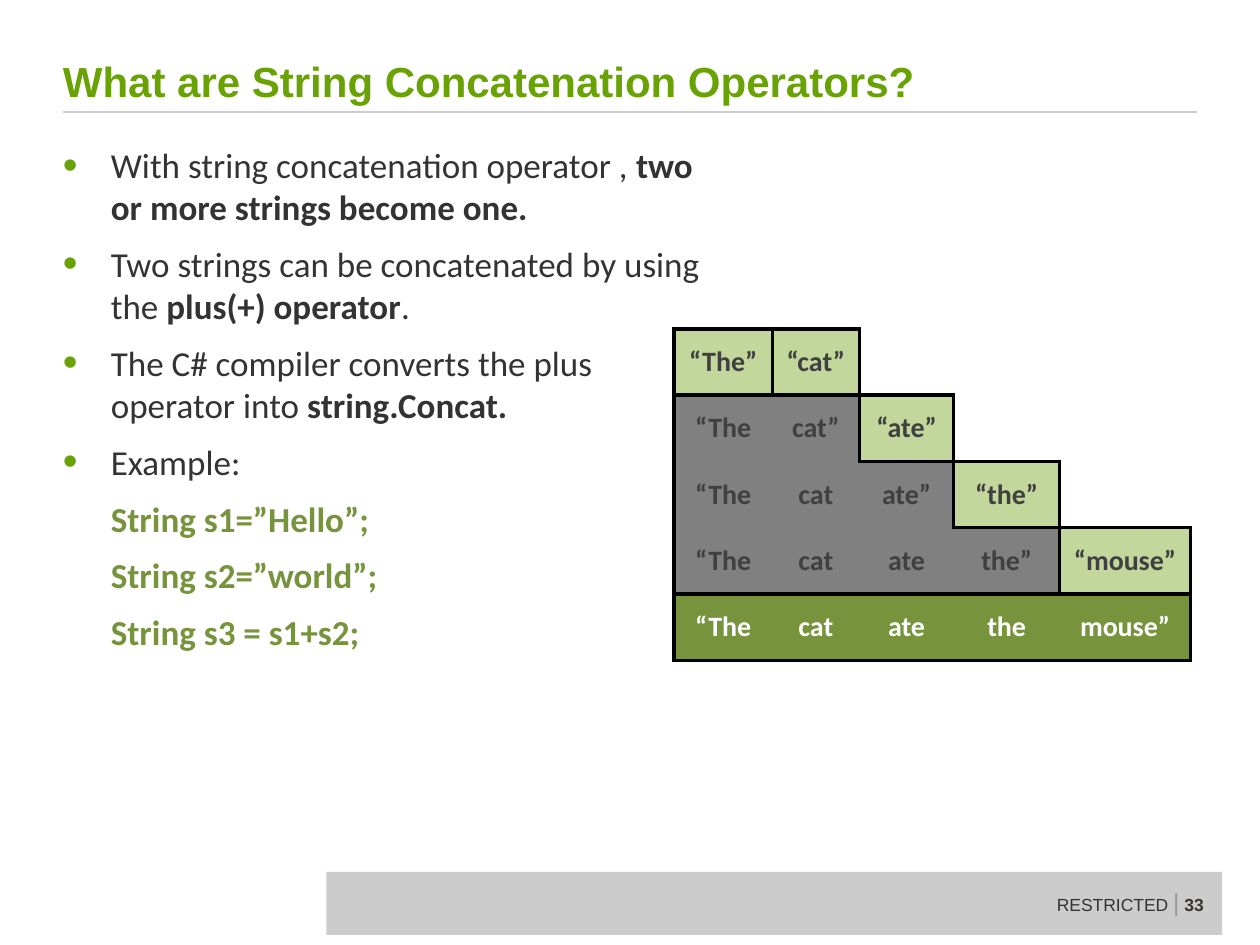
from dataclasses import dataclass

import pptx
import pptx.dml.color
import pptx.enum.shapes
import pptx.enum.text
import pptx.oxml
import pptx.oxml.ns
import pptx.util
from lxml import etree
from pptx.util import Inches

Anchor = pptx.enum.text.MSO_ANCHOR
Align = pptx.enum.text.PP_ALIGN


@dataclass(frozen=True)
class Theme:
    heading: str = "69A205"
    code: str = "77933C"
    body: str = "333333"
    rule: str = "CCCCCC"
    separator: str = "999999"
    number: str = "3A372F"
    word: str = "C3D69B"
    running: str = "808080"
    cell_text: str = "404040"
    white: str = "FFFFFF"
    border: str = "000000"
    title_font: str = "Arial"
    body_font: str = "Calibri"
    title_size: int = 24
    body_size: int = 20
    cell_size: int = 16
    separator_size: int = 14
    footer_size: int = 10


THEME = Theme()

TITLE = "What are String Concatenation Operators?"
# Each paragraph is a list of (text, bold) spans.
BULLETS = [
    [("With string concatenation operator , ", False),
     ("two or more strings become one.", True)],
    [("Two strings can be concatenated by using the ", False),
     ("plus(+) operator", True), (".", False)],
    [("The C# compiler converts the plus operator into ", False),
     ("string.Concat.", True)],
    [("Example:", False)],
]
CODE = ["String s1=”Hello”;", "String s2=”world”;", "String s3 = s1+s2;"]
WORDS = ["The", "cat", "ate", "the", "mouse"]
COLUMN_WIDTHS = [0.78, 0.69, 0.75, 0.84, 1.04]


def rgb(value):
    return pptx.dml.color.RGBColor.from_string(value)


def set_all(target, values):
    for name, value in values.items():
        setattr(target, name, value)


def add_span(para, text, font, size, color, bold=False):
    span = para.add_run()
    span.text = text
    set_all(span.font, {"name": font, "size": pptx.util.Pt(size), "bold": bold})
    span.font.color.rgb = rgb(color)


def add_text_box(page, box, wrap=True, **frame_values):
    frame = page.shapes.add_textbox(*map(Inches, box)).text_frame
    set_all(frame, {"word_wrap": wrap, **frame_values})
    return frame


def add_title(page, box):
    """Title sitting on a grey rule at the bottom of the box."""
    left, top, width, height = box
    rule = page.shapes.add_connector(
        pptx.enum.shapes.MSO_CONNECTOR.STRAIGHT, Inches(left), Inches(top + height),
        Inches(left + width), Inches(top + height))
    rule.line.color.rgb = rgb(THEME.rule)
    rule.line.width = pptx.util.Pt(1.5)
    etree.SubElement(rule._element.spPr, pptx.oxml.ns.qn("a:effectLst"))
    frame = add_text_box(page, box, vertical_anchor=Anchor.BOTTOM, margin_left=0,
                         margin_right=0, margin_top=0, margin_bottom=Inches(0.05))
    add_span(frame.paragraphs[0], TITLE, THEME.title_font, THEME.title_size,
             THEME.heading, True)


def indent(para, bulleted):
    properties = para._p.get_or_add_pPr()
    hang = Inches(0.38)
    properties.set("marL", str(hang))
    properties.set("indent", str(-hang if bulleted else 0))
    if bulleted:
        namespace = pptx.oxml.ns.nsdecls("a")
        for markup in (
                f'<a:buClr {namespace}><a:srgbClr val="{THEME.heading}"/></a:buClr>',
                f'<a:buSzPct {namespace} val="120000"/>',
                f'<a:buFont {namespace} typeface="Arial"/>',
                f'<a:buChar {namespace} char="•"/>'):
            properties.append(pptx.oxml.parse_xml(markup))


def add_body(page, box):
    frame = add_text_box(page, box, margin_left=0, margin_right=0,
                         margin_top=0, margin_bottom=0)
    items = [(spans, THEME.body, True) for spans in BULLETS]
    items += [([(line, True)], THEME.code, False) for line in CODE]
    for index, (spans, color, bulleted) in enumerate(items):
        para = frame.add_paragraph() if index else frame.paragraphs[0]
        set_all(para, {"space_before": pptx.util.Pt(5),
                       "space_after": pptx.util.Pt(3.5)})
        indent(para, bulleted)
        for text, bold in spans:
            add_span(para, text, THEME.body_font, THEME.body_size, color, bold)


def region(row, column):
    """Name the outlined area of the staircase a cell is in, None if outside."""
    last = len(WORDS) - 1
    if not (0 <= row <= last and 0 <= column <= last) or column > row + 1:
        return None
    if row == last:
        return "total"
    if column == row + 1 or row == column == 0:
        return f"word {column}"
    return "running"


def cell_text(row, column):
    opening = "“" if column in (0, row + 1) else ""
    closing = "”" if column in (row, row + 1) else ""
    return opening + WORDS[column] + closing


def set_borders(cell, row, column):
    """Draw a border on each side where the neighbour is in another region."""
    sides = {"lnL": (0, -1), "lnR": (0, 1), "lnT": (-1, 0), "lnB": (1, 0)}
    properties = cell._tc.get_or_add_tcPr()
    for index, (side, (down, right)) in enumerate(sides.items()):
        if region(row, column) != region(row + down, column + right):
            paint = f'<a:solidFill><a:srgbClr val="{THEME.border}"/></a:solidFill>'
        else:
            paint = "<a:noFill/>"
        properties.insert(index, pptx.oxml.parse_xml(
            f'<a:{side} {pptx.oxml.ns.nsdecls("a")} '
            f'w="{pptx.util.Pt(2.25)}">{paint}</a:{side}>'))


def add_staircase(page, box):
    """Table in which each row joins one more word to the string."""
    count = len(WORDS)
    table = page.shapes.add_table(count, count, *map(Inches, box)).table
    set_all(table, {"first_row": False, "horz_banding": False})
    for column, width in zip(table.columns, COLUMN_WIDTHS):
        column.width = Inches(width)
    for row in range(count):
        for column in range(count):
            cell = table.cell(row, column)
            area = region(row, column)
            if area is None:
                cell.fill.background()
            else:
                fill, color = {
                    "total": (THEME.code, THEME.white),
                    "running": (THEME.running, THEME.cell_text),
                }.get(area, (THEME.word, THEME.cell_text))
                cell.fill.solid()
                cell.fill.fore_color.rgb = rgb(fill)
                cell.vertical_anchor = Anchor.MIDDLE
                para = cell.text_frame.paragraphs[0]
                para.alignment = Align.CENTER
                add_span(para, cell_text(row, column), THEME.body_font,
                         THEME.cell_size, color, True)
            set_borders(cell, row, column)


def add_footer(page, box):
    left, top, width, height = box
    band = page.shapes.add_shape(pptx.enum.shapes.MSO_SHAPE.RECTANGLE,
                                 *map(Inches, box))
    band.shadow.inherit = False
    band.fill.solid()
    band.fill.fore_color.rgb = rgb(THEME.rule)
    band.line.fill.background()
    label = (left + width - 1.41, top + 0.07, 1.4, 0.34)
    para = add_text_box(page, label, wrap=False).paragraphs[0]
    for text, size, color, bold in (
            ("RESTRICTED ", THEME.footer_size, THEME.body, False),
            ("|", THEME.separator_size, THEME.separator, False),
            (" 33", THEME.footer_size, THEME.number, True)):
        add_span(para, text, THEME.title_font, size, color, bold)


def main():
    deck = pptx.Presentation()
    set_all(deck, {"slide_width": Inches(10), "slide_height": Inches(7.5)})
    page = deck.slides.add_slide(deck.slide_layouts[6])
    add_footer(page, (2.59, 6.92, 7.11, 0.5))
    add_title(page, (0.5, 0.02, 9, 0.87))
    add_body(page, (0.5, 1.14, 5.24, 5.46))
    add_staircase(page, (5.35, 2.61, 4.1, 2.63))
    deck.save("out.pptx")


if __name__ == "__main__":
    main()
